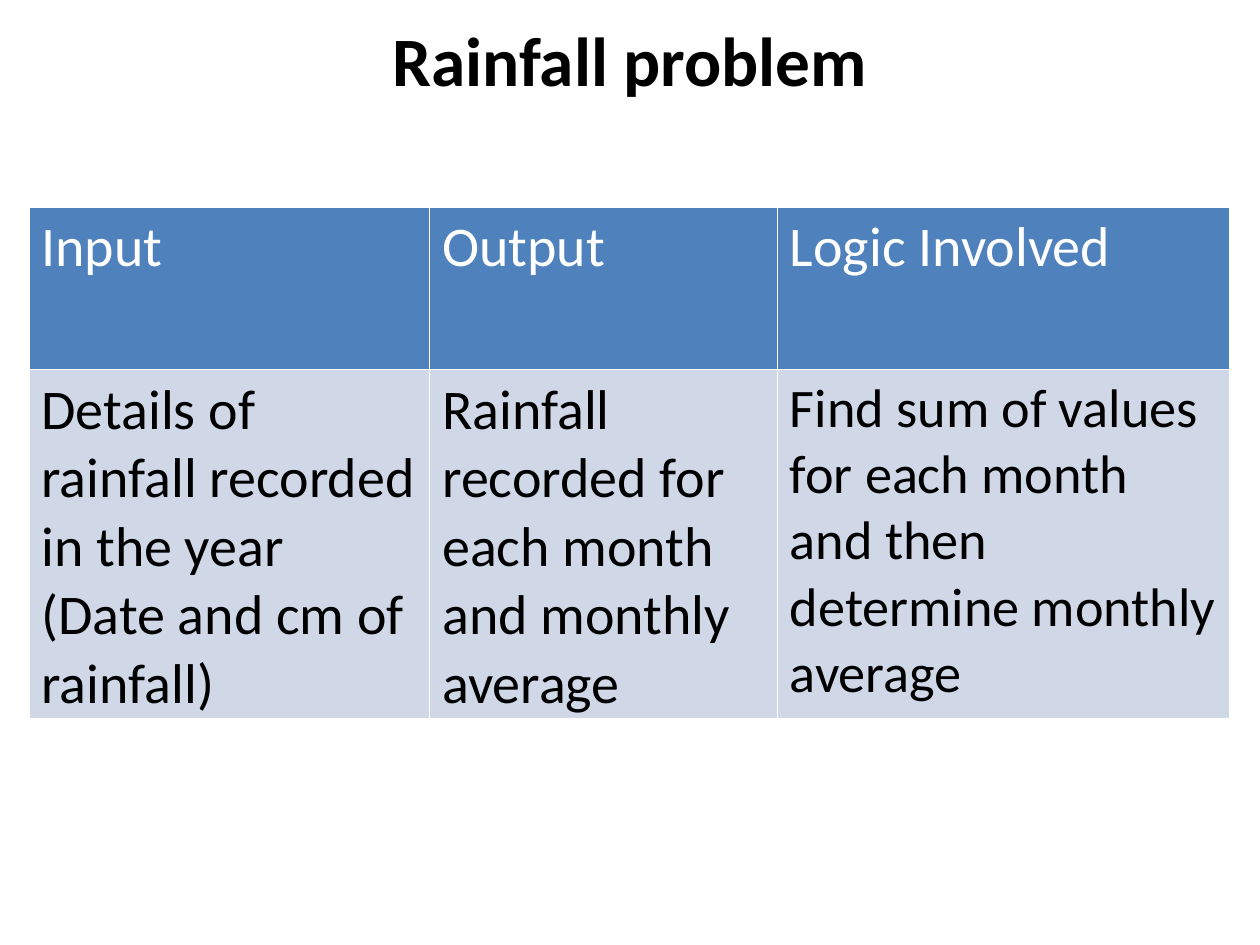
from lxml import etree
from pptx import Presentation
from pptx import util as u
from pptx.dml.color import RGBColor
from pptx.enum import text
from pptx.oxml.ns import qn

BLACK = RGBColor(0x00, 0x00, 0x00)
WHITE = RGBColor(0xFF, 0xFF, 0xFF)
HEADER_BLUE = RGBColor(0x4F, 0x81, 0xBD)
BODY_BLUE = RGBColor(0xD0, 0xD8, 0xE8)
FONT = "Calibri"

HEADINGS = ["Input", "Output", "Logic Involved"]
DETAILS = [
    "Details of rainfall recorded in the year (Date and cm of rainfall)",
    "Rainfall recorded for each month and monthly average",
    "Find sum of values for each month and then determine monthly average",
]
COLUMN_WIDTHS = [8.08, 7.01, 9.12]
ROW_HEIGHTS = [3.28, 7.01]


def write_text(frame, content, size=32, color=BLACK, bold=False,
               align=text.PP_ALIGN.LEFT):
    frame.word_wrap = True
    para = frame.paragraphs[0]
    para.alignment = align
    span = para.add_run()
    span.text = content
    span.font.name = FONT
    span.font.size = u.Pt(size)
    span.font.bold = bold
    span.font.color.rgb = color


def set_borders(cell, color=WHITE, width=1):
    properties = cell._tc.get_or_add_tcPr()
    for index, side in enumerate(("a:lnL", "a:lnR", "a:lnT", "a:lnB")):
        line = etree.Element(qn(side), w=str(u.Pt(width)))
        fill = etree.SubElement(line, qn("a:solidFill"))
        etree.SubElement(fill, qn("a:srgbClr"), val=str(color))
        properties.insert(index, line)  # borders come before the fill


def add_title(page, left, top, width, height):
    box = page.shapes.add_textbox(u.Cm(left), u.Cm(top), u.Cm(width), u.Cm(height))
    box.text_frame.vertical_anchor = text.MSO_ANCHOR.MIDDLE
    write_text(box.text_frame, "Rainfall problem", size=39.6, bold=True,
               align=text.PP_ALIGN.CENTER)


def add_problem_table(page, left, top):
    table = page.shapes.add_table(
        len(ROW_HEIGHTS), len(COLUMN_WIDTHS), u.Cm(left), u.Cm(top),
        u.Cm(sum(COLUMN_WIDTHS)), u.Cm(sum(ROW_HEIGHTS))).table
    for column, width in zip(table.columns, COLUMN_WIDTHS):
        column.width = u.Cm(width)
    for row, height in zip(table.rows, ROW_HEIGHTS):
        row.height = u.Cm(height)

    # Header and body rows, with their fill, text colour and sizes
    rows = [
        (HEADINGS, HEADER_BLUE, WHITE, (32, 32, 32)),
        (DETAILS, BODY_BLUE, BLACK, (32, 32, 31)),
    ]
    for row, (contents, fill, color, sizes) in zip(table.rows, rows):
        for cell, content, size in zip(row.cells, contents, sizes):
            cell.fill.solid()
            cell.fill.fore_color.rgb = fill
            set_borders(cell)
            write_text(cell.text_frame, content, size=size, color=color)


def main():
    deck = Presentation()
    deck.slide_width, deck.slide_height = u.Cm(25.4), u.Cm(19.05)
    page = deck.slides.add_slide(deck.slide_layouts[6])
    add_title(page, 1.27, 0.2, 22.86, 1.98)
    add_problem_table(page, 0.58, 4.17)
    deck.save("out.pptx")


if __name__ == "__main__":
    main()
